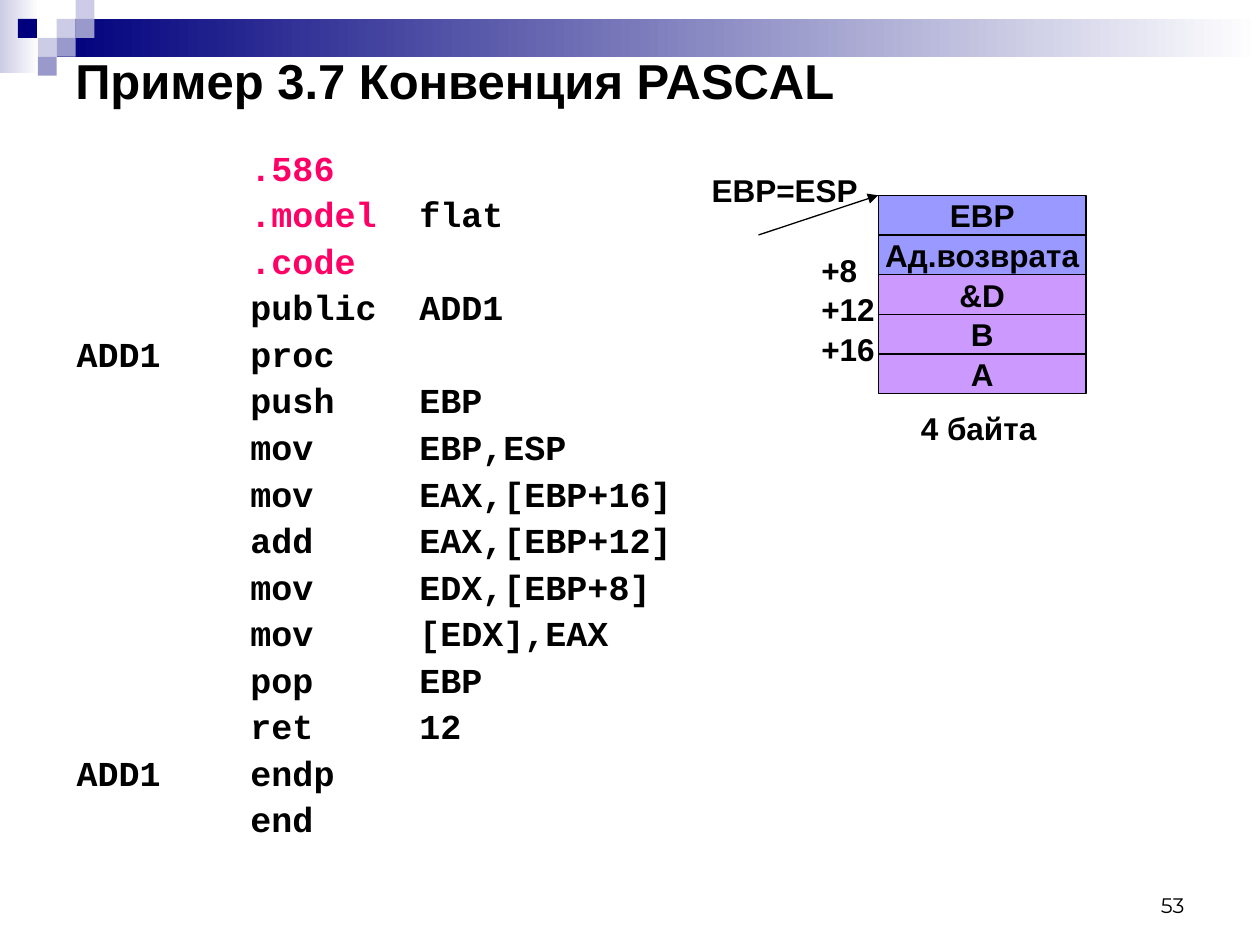
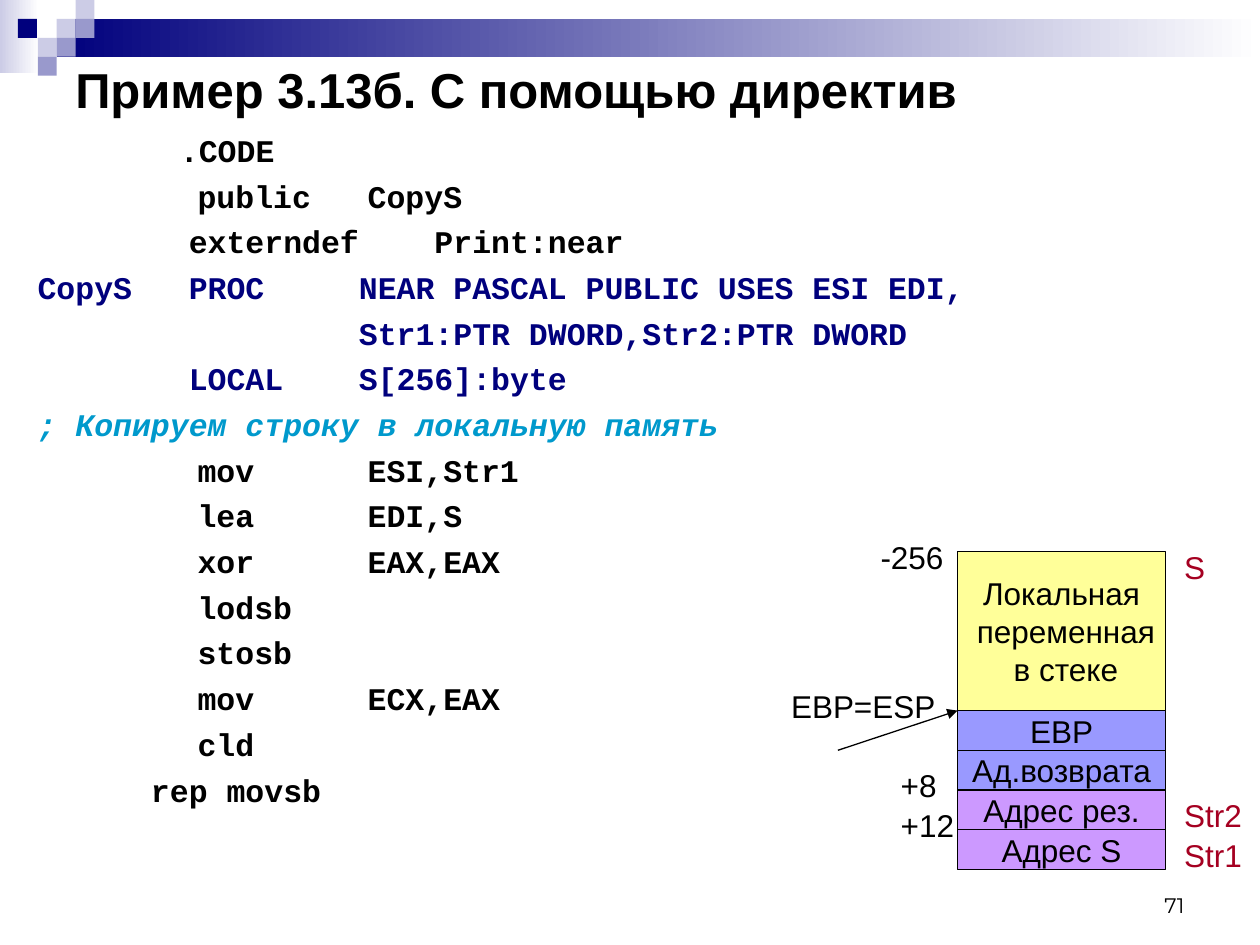
from lxml.etree import SubElement
from pptx import Presentation
from pptx.dml.color import RGBColor
from pptx.enum.shapes import MSO_CONNECTOR as Connector, MSO_SHAPE as Shape
from pptx.enum.text import MSO_ANCHOR as Anchor, PP_ALIGN as Align
from pptx.oxml.ns import qn
from pptx.util import Inches, Pt

COLORS = {
    "black": "000000", "white": "FFFFFF", "navy": "00007D", "pale": "CCCCE6",
    "mid": "9999CC", "pink": "FF0066", "cyan": "0099CC", "red": "A50021",
    "frame": "9999FF", "argument": "CC99FF", "local": "FFFF99",
}

# Stack diagram grid: one column wide, four rows to the local variable
STACK_W = 1.65
ROW = 1.26 / 4

# Page squares: column, row and colour on a fine grid
SQUARE = 0.15
SQUARES = [(3, 1, "pale"), (4, 0, "pale"), (4, 1, "mid"), (2, 2, "pale"),
           (0.95, 1, "navy"), (3, 2, "mid"), (2, 3, "mid")]
FADES = [((0, 0, 0.31, 0.58), "pale"), ((0.45, 0.15, 9.55, 0.3), "navy")]

# Code lines: tab stops, then runs of text and colour
PASCAL_STOPS = (1.38, 2.72)
PASCAL_CODE = [
    (PASCAL_STOPS, [("\t.586", "pink")]),
    (PASCAL_STOPS, [("\t.model", "pink"), ("\tflat", "black")]),
    (PASCAL_STOPS, [("\t.code", "pink")]),
] + [(PASCAL_STOPS, [(line, "black")]) for line in (
    "\tpublic\tADD1", "ADD1\tproc", "\tpush\tEBP", "\tmov\tEBP,ESP",
    "\tmov\tEAX,[EBP+16]", "\tadd\tEAX,[EBP+12]", "\tmov\tEDX,[EBP+8]",
    "\tmov\t[EDX],EAX", "\tpop\tEBP", "\tret\t12", "ADD1\tendp", "\tend")]

BODY_STOPS, HEAD_STOPS = (1.27, 2.62), (1.2, 2.55)
COPY_CODE = [
    ((1.13,), [("\t.CODE", "black")]),
    (BODY_STOPS, [("\tpublic\tCopyS", "black")]),
    ((1.2, 3.15), [("\texterndef\tPrint:near", "black")]),
    (HEAD_STOPS, [("CopyS\tPROC\tNEAR PASCAL PUBLIC USES ESI EDI,", "navy")]),
    (HEAD_STOPS, [("\t\tStr1:PTR DWORD,Str2:PTR DWORD", "navy")]),
    (HEAD_STOPS, [("\tLOCAL\tS[256]:byte", "navy")]),
    ((), [("; Копируем строку в локальную память", "cyan")]),
] + [(BODY_STOPS, [(line, "black")]) for line in (
    "\tmov\tESI,Str1", "\tlea\tEDI,S", "\txor\tEAX,EAX", "\tlodsb",
    "\tstosb", "\tmov\tECX,EAX", "\tcld")] + [
    ((0.9,), [("\trep movsb", "black")]),
]

# Stack rows: first row, rows covered, lines, colour
# Side labels: offset from the stack's corner, width, text, colour
SLIDES = [
    dict(number="53", title="Пример 3.7 Конвенция PASCAL",
         title_at=(0.5, 0.36, 9, 0.55), code=PASCAL_CODE, code_at=(0.51, 1.15, 9, 6.06),
         code_size=20, spacing=0.9, before=5, bold=True, corner=(6.97, 1.55),
         stack=[(0, 1, ["EBP"], "frame"), (1, 1, ["Aд.возврата"], "frame"),
                (2, 1, ["&D"], "argument"), (3, 1, ["B"], "argument"),
                (4, 1, ["A"], "argument")],
         labels=[(-0.55, 0.39 + 2 * ROW, 0.78, "+16", "black"),
                 (0.24, 1.65, 1.26, "4 байта", "black")]),
    dict(number="71", title="Пример 3.13б. С помощью директив",
         title_at=(0.5, 0.5, 9.3, 0.41), code=COPY_CODE, code_at=(0.2, 0.99, 9.53, 6.3),
         code_size=18, spacing=1.0, before=4.5, bold=False, corner=(7.6, 5.64),
         stack=[(-4, 4, ["Локальная", " переменная", " в стеке"], "local"),
                (0, 1, ["EBP"], "frame"), (1, 1, ["Aд.возврата"], "frame"),
                (2, 1, ["Адрес рез."], "argument"), (3, 1, ["Адрес S"], "argument")],
         labels=[(-0.71, -4 * ROW - 0.16, 0.7, "-256", "black"),
                 (1.7, -4 * ROW - 0.08, 0.7, "S", "red"),
                 (1.7, 2 * ROW, 0.7, "Str2", "red"),
                 (1.7, 3 * ROW, 0.7, "Str1", "red")]),
]
SHARED_LABELS = [(-1.42, -0.24, 1.36, "EBP=ESP", "black"),
                 (-0.55, 0.39, 0.7, "+8", "black"),
                 (-0.55, 0.39 + ROW, 0.78, "+12", "black")]


def write(holder, text, color="black", size=18, font="Arial", bold=False, align=Align.LEFT,
          anchor=Anchor.TOP, wrap=True, spacing=None, before=None, stops=()):
    """Add one paragraph; text is a string or a list of (text, colour) runs."""
    frame = holder.text_frame
    frame.word_wrap = wrap
    frame.vertical_anchor = anchor
    para = frame.add_paragraph() if frame.text else frame.paragraphs[0]
    para.alignment = align
    if spacing:
        para.line_spacing = spacing
    if before:
        para.space_before = Pt(before)
    if stops:
        tabs = SubElement(para._p.get_or_add_pPr(), qn("a:tabLst"))
        for stop in stops:
            SubElement(tabs, qn("a:tab"), pos=str(Inches(stop)), algn="l")
    for part, tint in [(text, color)] if isinstance(text, str) else text:
        run = para.add_run()
        run.text = part
        run.font.name, run.font.size, run.font.bold = font, Pt(size), bold
        run.font.italic = tint == "cyan"
        run.font.color.rgb = RGBColor.from_string(COLORS[tint])


def block(slide, at, color, fade=False, outline=False):
    """Add a rectangle, plain or fading to white."""
    rect = slide.shapes.add_shape(Shape.RECTANGLE, *map(Inches, at))
    rect.shadow.inherit = False
    if fade:
        rect.fill.gradient()
        rect.fill.gradient_angle = 0
        for stop, tint in zip(rect.fill.gradient_stops, (color, "white")):
            stop.color.rgb = RGBColor.from_string(COLORS[tint])
    else:
        rect.fill.solid()
        rect.fill.fore_color.rgb = RGBColor.from_string(COLORS[color])
    if outline:
        rect.line.color.rgb = RGBColor.from_string(COLORS["black"])
        rect.line.width = Pt(0.75)
    else:
        rect.line.fill.background()
    return rect


deck = Presentation()
deck.slide_width, deck.slide_height = Inches(10), Inches(7.5)

for page in SLIDES:
    slide = deck.slides.add_slide(deck.slide_layouts[6])
    add_text = slide.shapes.add_textbox

    # Band and squares
    for at, color in FADES:
        block(slide, at, color, fade=True)
    for col, row, color in SQUARES:
        block(slide, (col * SQUARE, row * SQUARE, SQUARE, SQUARE), color)

    # Page number and title
    write(add_text(*map(Inches, (7.17, 6.83, 2.33, 0.5))), page["number"], size=12,
          font="Montserrat", align=Align.RIGHT, anchor=Anchor.BOTTOM)
    write(add_text(*map(Inches, page["title_at"])), page["title"], size=28, bold=True,
          anchor=Anchor.MIDDLE)

    # Program listing
    listing = add_text(*map(Inches, page["code_at"]))
    for stops, runs in page["code"]:
        write(listing, runs, size=page["code_size"], font="Courier New", bold=True,
              spacing=page["spacing"], before=page["before"], stops=stops)

    # Stack cells
    left, top = page["corner"]
    for row, span, lines, color in page["stack"]:
        cell = block(slide, (left, top + row * ROW, STACK_W, span * ROW), color, outline=True)
        for line in lines:
            write(cell, line, bold=page["bold"], align=Align.CENTER, anchor=Anchor.MIDDLE,
                  wrap=False)

    # Arrow to the frame base
    pointer = slide.shapes.add_connector(
        Connector.STRAIGHT, *map(Inches, (left - 0.95, top + ROW, left, top)))
    pointer.line.color.rgb = RGBColor.from_string(COLORS["black"])
    pointer.line.width = Pt(0.75)
    SubElement(pointer.line._get_or_add_ln(), qn("a:tailEnd"), type="triangle")
    SubElement(pointer._element.spPr, qn("a:effectLst"))

    # Labels beside the stack
    for dx, dy, width, label, color in SHARED_LABELS + page["labels"]:
        write(add_text(*map(Inches, (left + dx, top + dy, width, 0.4))), label, color=color,
              bold=page["bold"], wrap=label != "EBP=ESP")

deck.save("out.pptx")
